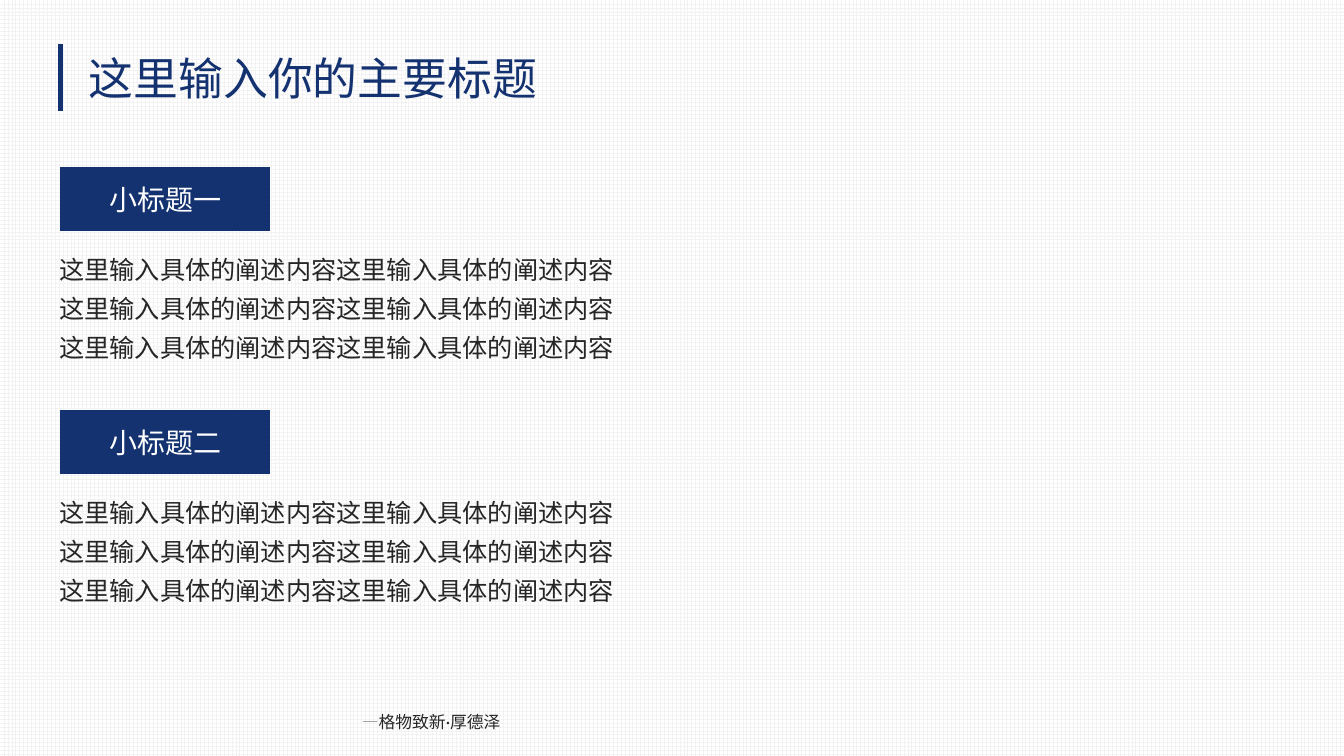
from lxml import etree
from pptx import Presentation
from pptx.dml.color import RGBColor
from pptx.enum.dml import MSO_PATTERN
from pptx.enum.shapes import MSO_CONNECTOR, MSO_SHAPE
from pptx.enum.text import MSO_ANCHOR, MSO_AUTO_SIZE, PP_ALIGN
from pptx.oxml.ns import qn
from pptx.util import Inches, Pt

GRID = MSO_PATTERN.LARGE_GRID
STRAIGHT = MSO_CONNECTOR.STRAIGHT
PROCESS = MSO_SHAPE.FLOWCHART_PROCESS
TOP, MIDDLE = MSO_ANCHOR.TOP, MSO_ANCHOR.MIDDLE
GROW = MSO_AUTO_SIZE.SHAPE_TO_FIT_TEXT
LEFT, CENTER, JUSTIFY = PP_ALIGN.LEFT, PP_ALIGN.CENTER, PP_ALIGN.JUSTIFY

COLORS = {
    "navy": "143270",
    "ink": "262626",
    "gray": "808080",
    "grid": "F2F2F2",
    "white": "FFFFFF",
}
HEADING_FONT, BODY_FONT = "Cabin", "Lato"
BODY_LINES = ["这里输入具体的阐述内容" * 2] * 3
SECTIONS = ["小标题一", "小标题二"]
SECTION_TOP, SECTION_STEP, BODY_OFFSET = 1.66, 2.41, 0.72


def color(name):
    return RGBColor.from_string(COLORS[name])


class SlideBuilder:
    def __init__(self, deck):
        self.page = deck.slides.add_slide(deck.slide_layouts[5])

    def background(self):
        fill = self.page.background.fill
        fill.patterned()
        fill.pattern = GRID
        fill.fore_color.rgb = color("grid")
        fill.back_color.rgb = color("white")

    def style(self, span, size, font, tint):
        span.font.size = Pt(size)
        span.font.name = font
        span.font.color.rgb = color(tint)

    def title(self, text, left, top, width, height):
        box = self.page.shapes.title
        box.left, box.top = Inches(left), Inches(top)
        box.width, box.height = Inches(width), Inches(height)
        frame = box.text_frame
        frame.text = text
        frame.word_wrap = True
        frame.auto_size = GROW
        frame.vertical_anchor = TOP
        para = frame.paragraphs[0]
        para.alignment = LEFT
        self.style(para.runs[0], 32, HEADING_FONT, "navy")

    def rule(self, x, top, bottom):
        line = self.page.shapes.add_connector(
            STRAIGHT, Inches(x), Inches(top), Inches(x), Inches(bottom))
        line.line.color.rgb = color("navy")
        line.line.width = Pt(3)
        etree.SubElement(line._element.spPr, qn("a:effectLst"))

    def label(self, text, left, top, width, height):
        box = self.page.shapes.add_shape(
            PROCESS, Inches(left), Inches(top), Inches(width), Inches(height))
        box.shadow.inherit = False
        box.fill.solid()
        box.fill.fore_color.rgb = color("navy")
        box.line.fill.background()
        frame = box.text_frame
        frame.text = text
        frame.vertical_anchor = MIDDLE
        para = frame.paragraphs[0]
        para.alignment = CENTER
        self.style(para.runs[0], 20, HEADING_FONT, "white")

    def text_box(self, left, top, width, height):
        box = self.page.shapes.add_textbox(
            Inches(left), Inches(top), Inches(width), Inches(height))
        frame = box.text_frame
        frame.word_wrap = True
        frame.auto_size = GROW
        return frame

    def body(self, lines, left, top, width, height):
        frame = self.text_box(left, top, width, height)
        frame.text = "\n".join(lines)
        for para in frame.paragraphs:
            para.line_spacing = 1.3
            self.style(para.runs[0], 18, BODY_FONT, "ink")

    def motto(self, parts, left, top, width, height):
        para = self.text_box(left, top, width, height).paragraphs[0]
        para.alignment = JUSTIFY
        for text, tint in parts:
            span = para.add_run()
            span.text = text
            self.style(span, 12, BODY_FONT, tint)


def main():
    deck = Presentation()
    deck.slide_width, deck.slide_height = Inches(13.33), Inches(7.5)
    builder = SlideBuilder(deck)
    builder.background()
    builder.rule(0.6, 0.44, 1.1)
    builder.title("这里输入你的主要标题", 0.78, 0.45, 5.12, 0.64)
    for index, heading in enumerate(SECTIONS):
        top = SECTION_TOP + index * SECTION_STEP
        builder.body(BODY_LINES, 0.49, top + BODY_OFFSET, 5.8, 1.25)
        builder.label(heading, 0.6, top, 2.08, 0.63)
    builder.motto([("—", "gray"), ("格物致新·厚德泽", "ink")], 3.49, 7.01, 6.36, 0.3)
    deck.save("out.pptx")


if __name__ == "__main__":
    main()
